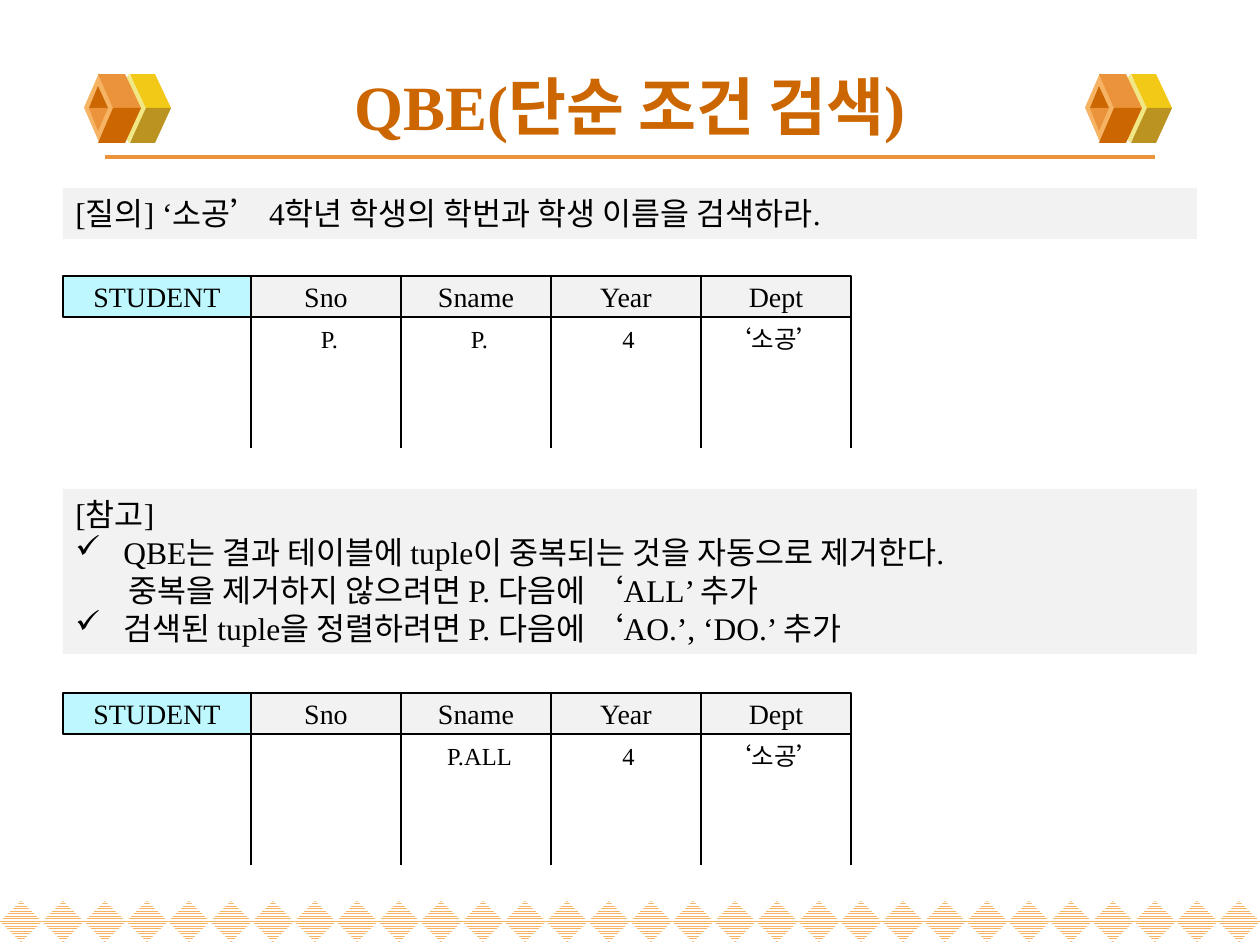
from dataclasses import dataclass

from lxml import etree
from pptx import Presentation
from pptx.dml.color import RGBColor
from pptx.enum.dml import MSO_PATTERN
from pptx.enum.shapes import MSO_CONNECTOR, MSO_SHAPE
from pptx.enum.text import MSO_ANCHOR, PP_ALIGN
from pptx.oxml.ns import qn
from pptx.util import Pt

SCALE = 914400 / 126  # EMU per px


@dataclass(frozen=True)
class Theme:
    font: str = "Times New Roman"
    black: str = "000000"
    white: str = "FFFFFF"
    panel: str = "F2F2F2"
    cyan: str = "BEF8FE"
    brown: str = "CC6600"
    orange: str = "EB933B"
    apricot: str = "F5B363"
    cream: str = "F1E785"
    yellow: str = "F3C917"
    olive: str = "BB9321"
    title_size: int = 36
    body_size: int = 18
    header_size: int = 16
    cell_size: int = 14
    thin: float = 0.75
    thick: float = 2.25


THEME = Theme()

# Content
TITLE = "QBE(단순 조건 검색)"
QUERY = [("[질의] ‘소공’ 4학년 학생의 학번과 학생 이름을 검색하라.", "plain")]
NOTES = [
    ("[참고]", "plain"),
    ("QBE는 결과 테이블에 tuple이 중복되는 것을 자동으로 제거한다.", "check"),
    ("중복을 제거하지 않으려면 P. 다음에 ‘ALL’ 추가", "continued"),
    ("검색된 tuple을 정렬하려면 P. 다음에 ‘AO.’, ‘DO.’ 추가", "check"),
]
RELATION = "STUDENT"
COLUMNS = ["Sno", "Sname", "Year", "Dept"]
TABLES = [  # top, one entry per column
    (276, ["P.", "P.", "4", "‘소공’"]),
    (693, ["", "P.ALL", "4", "‘소공’"]),
]

# Layout, px
TABLE_LEFT, RELATION_WIDTH, COLUMN_WIDTH = 63, 188, 150
HEADER_HEIGHT, COLUMN_DROP = 41, 131
ENTRY_OFFSETS, ENTRY_WIDTH, ENTRY_HEIGHT = [9, 9, 8, 4], 139, 43
INDENTS = {"plain": (0, 0), "check": (48, -48), "continued": (53, 0)}
DIAMOND_COUNT, DIAMOND_TOP, DIAMOND_HEIGHT = 30, 901, 41

# Cube ornament, offsets from its top left corner
CUBE_LEFTS, CUBE_TOP = [84, 1085], 73
CUBE_DIAMONDS = [((24, 1, 42, 69), THEME.cream), ((0, 0, 30, 69), THEME.apricot)]
CUBE_FACES = [
    ([(62, 35), (87, 35), (71, 1), (46, 1)], THEME.yellow),
    ([(62, 35), (87, 35), (71, 70), (46, 70)], THEME.olive),
    ([(29, 35), (57, 35), (41, 1), (14, 1)], THEME.orange),
    ([(29, 35), (57, 35), (41, 70), (14, 70)], THEME.brown),
    ([(14, 13), (5, 35), (24, 35)], THEME.brown),
    ([(14, 58), (5, 35), (24, 35)], THEME.orange),
]


def px(value):
    return round(value * SCALE)


def color(code):
    return RGBColor.from_string(code)


def paint(shape, fill, outline=None):
    shape.shadow.inherit = False
    shape.fill.solid()
    shape.fill.fore_color.rgb = color(fill)
    if outline:
        shape.line.color.rgb = color(outline)
        shape.line.width = Pt(THEME.thin)
    else:
        shape.line.fill.background()
    return shape


def add_box(page, kind, left, top, width, height, fill, outline=None):
    shape = page.shapes.add_shape(kind, px(left), px(top), px(width), px(height))
    return paint(shape, fill, outline)


def add_face(page, points, fill):
    corners = [(px(x), px(y)) for x, y in points]
    builder = page.shapes.build_freeform(*corners[0])
    builder.add_line_segments(corners[1:], close=True)
    paint(builder.convert_to_shape(), fill)


def add_line(page, start, end, tint, width):
    line = page.shapes.add_connector(MSO_CONNECTOR.STRAIGHT, *map(px, start + end))
    line.line.color.rgb = color(tint)
    line.line.width = Pt(width)
    etree.SubElement(line.element.spPr, qn("a:effectLst"))


def add_text_box(page, left, top, width, height):
    return page.shapes.add_textbox(px(left), px(top), px(width), px(height))


def write(box, lines, size, tint=THEME.black, align=PP_ALIGN.CENTER,
          anchor=MSO_ANCHOR.MIDDLE, bold=False):
    frame = box.text_frame
    frame.word_wrap = True
    frame.vertical_anchor = anchor
    for index, (text, style) in enumerate(lines):
        para = frame.paragraphs[0] if index == 0 else frame.add_paragraph()
        para.text = text
        para.alignment = align
        para.font.name = THEME.font
        para.font.size = Pt(size)
        para.font.bold = bold
        para.font.color.rgb = color(tint)
        margin, indent = INDENTS[style]
        if margin:
            properties = para._p.get_or_add_pPr()
            properties.set("marL", str(px(margin)))
            properties.set("indent", str(px(indent)))
            if style == "check":
                bullet = etree.Element(qn("a:buChar"), char="✓")
                properties.insert(0, bullet)


def add_cube(page, left):
    def face(index):
        points, fill = CUBE_FACES[index]
        add_face(page, [(left + x, CUBE_TOP + y) for x, y in points], fill)

    for (x, y, width, height), fill in CUBE_DIAMONDS:
        add_box(page, MSO_SHAPE.DIAMOND, left + x, CUBE_TOP + y, width, height, fill)
        for index in ((0, 1) if fill == THEME.cream else (2, 3, 4, 5)):
            face(index)


def add_query_table(page, top, entries):
    columns_left = TABLE_LEFT + RELATION_WIDTH
    bottom = top + HEADER_HEIGHT
    headers = [(RELATION, TABLE_LEFT, RELATION_WIDTH, THEME.cyan)]
    headers += [(name, columns_left + i * COLUMN_WIDTH, COLUMN_WIDTH, THEME.panel)
                for i, name in enumerate(COLUMNS)]
    for name, left, width, fill in headers:
        box = add_box(page, MSO_SHAPE.RECTANGLE, left, top, width, HEADER_HEIGHT,
                      fill, THEME.black)
        write(box, [(name, "plain")], THEME.header_size)
    for i in range(len(COLUMNS) + 1):
        x = columns_left + i * COLUMN_WIDTH
        add_line(page, (x, bottom), (x, bottom + COLUMN_DROP), THEME.black, THEME.thin)
    for i, (entry, offset) in enumerate(zip(entries, ENTRY_OFFSETS)):
        if entry:
            box = add_text_box(page, columns_left + i * COLUMN_WIDTH + offset,
                               bottom + 1, ENTRY_WIDTH, ENTRY_HEIGHT)
            write(box, [(entry, "plain")], THEME.cell_size, anchor=MSO_ANCHOR.TOP)


def main():
    deck = Presentation()
    deck.slide_width, deck.slide_height = px(1260), px(945)
    page = deck.slides.add_slide(deck.slide_layouts[6])

    # Diamond border along the bottom
    step = 1260 / DIAMOND_COUNT
    for i in range(DIAMOND_COUNT):
        diamond = add_box(page, MSO_SHAPE.DIAMOND, i * step, DIAMOND_TOP, step,
                          DIAMOND_HEIGHT, THEME.white)
        diamond.fill.patterned()
        diamond.fill.pattern = MSO_PATTERN.NARROW_HORIZONTAL
        diamond.fill.fore_color.rgb = color(THEME.apricot)
        diamond.fill.back_color.rgb = color(THEME.white)

    # Title with rule and cubes
    add_line(page, (105, 157), (1155, 157), THEME.orange, THEME.thick)
    for left in CUBE_LEFTS:
        add_cube(page, left)
    write(add_text_box(page, 63, 57, 1134, 96), [(TITLE, "plain")],
          THEME.title_size, THEME.brown, bold=True)

    # Grey panels
    for top, height, lines in [(188, 51, QUERY), (489, 165, NOTES)]:
        panel = add_box(page, MSO_SHAPE.RECTANGLE, 63, top, 1134, height, THEME.panel)
        write(panel, lines, THEME.body_size, align=PP_ALIGN.LEFT, anchor=MSO_ANCHOR.TOP)

    # Query tables
    for top, entries in TABLES:
        add_query_table(page, top, entries)

    deck.save("out.pptx")


if __name__ == "__main__":
    main()
